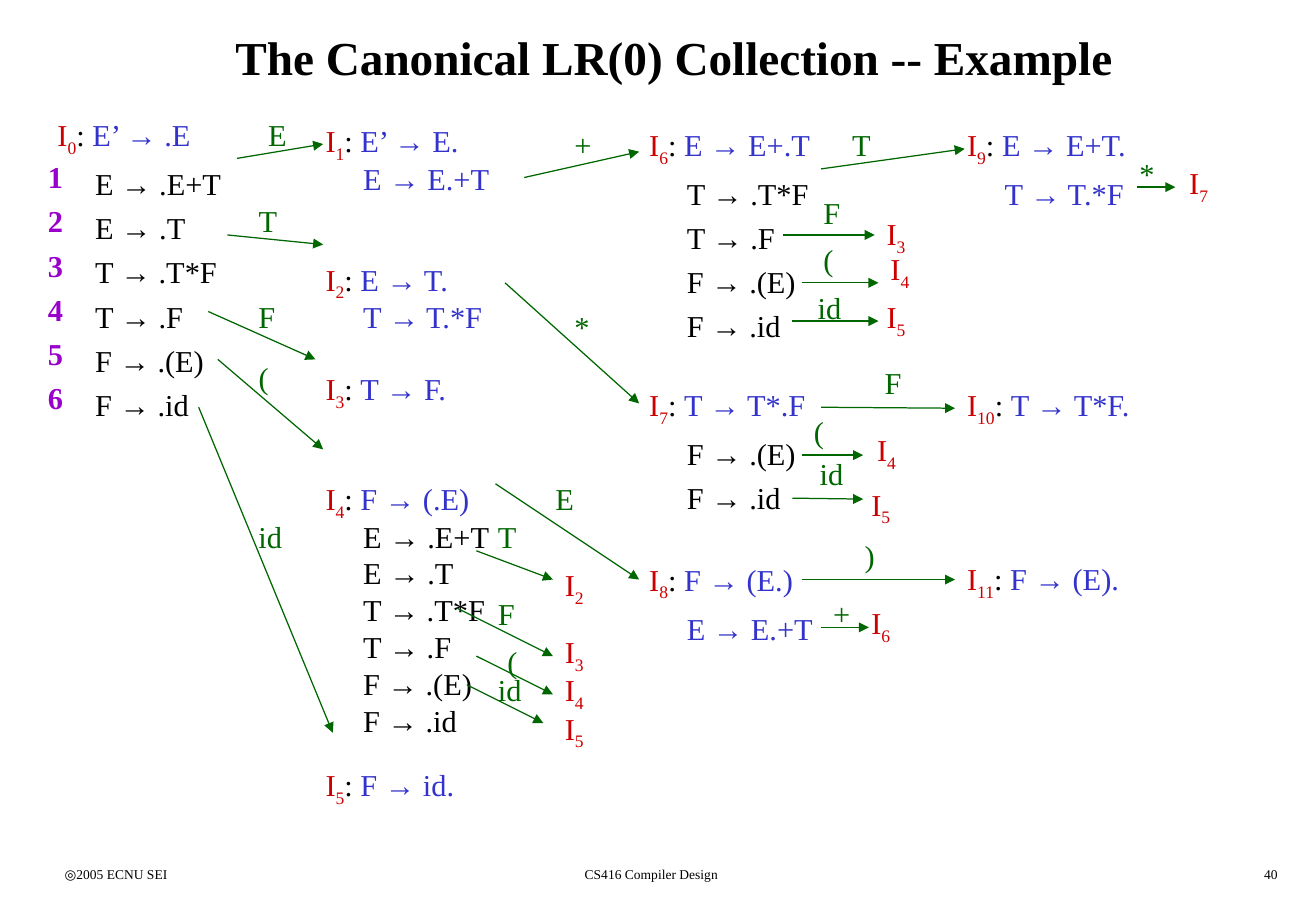
from typing import NamedTuple

from pptx import Presentation
from pptx.dml.color import RGBColor
from pptx.enum.shapes import MSO_CONNECTOR
from pptx.enum.text import MSO_ANCHOR, PP_ALIGN
from pptx.oxml.ns import qn
from pptx.util import Inches, Pt
from lxml.etree import SubElement

BLACK = RGBColor(0x00, 0x00, 0x00)
RED = RGBColor(0xCC, 0x00, 0x00)
BLUE = RGBColor(0x33, 0x33, 0xCC)
GREEN = RGBColor(0x00, 0x66, 0x00)
PURPLE = RGBColor(0x99, 0x00, 0xCC)

SLIDE_W, SLIDE_H = Inches(10.83), Inches(7.5)
CELL = Inches(0.0788)
LINE_GAP = Pt(4.5)
ITEM_INDENT = Inches(0.31)
BODY = {"name": "Times New Roman", "size": Pt(18), "bold": False}
BOLD = BODY | {"bold": True}
TITLE = BOLD | {"size": Pt(28)}
FOOTER = BODY | {"size": Pt(8)}


class ItemSet(NamedTuple):
    number: int
    col: float
    row: float
    kernel: list[str]
    closure: list[str] = []
    spacing: float = 1.0


class Label(NamedTuple):
    text: str
    col: float
    row: float


class Target(NamedTuple):
    number: int
    col: float
    row: float


class Arrow(NamedTuple):
    col1: float
    row1: float
    col2: float
    row2: float


class Footer(NamedTuple):
    text: str
    left: float
    width: float
    align: PP_ALIGN


F_ITEMS = ["F → .(E)", "F → .id"]
T_ITEMS = ["T → .T*F", "T → .F"] + F_ITEMS
E_ITEMS = ["E → .E+T", "E → .T"] + T_ITEMS

ITEM_SETS = [
    ItemSet(0, 5, 11, ["E’ → .E"], E_ITEMS),
    ItemSet(1, 33, 12, ["E’ → E.", "E → E.+T"], spacing=0.8),
    ItemSet(2, 33, 26.5, ["E → T.", "T → T.*F"], spacing=0.8),
    ItemSet(3, 33, 37.9, ["T → F."], spacing=0.8),
    ItemSet(4, 33, 49.4, ["F → (.E)"], E_ITEMS, 0.8),
    ItemSet(5, 33, 79.3, ["F → id."], spacing=0.8),
    ItemSet(6, 66.8, 12, ["E → E+.T"], T_ITEMS),
    ItemSet(7, 66.8, 39.2, ["T → T*.F"], F_ITEMS),
    ItemSet(8, 66.8, 57.4, ["F → (E.)", "E → E.+T"]),
    ItemSet(9, 100, 12, ["E → E+T.", "T → T.*F"]),
    ItemSet(10, 100, 39.2, ["T → T*F."]),
    ItemSet(11, 100, 57.4, ["F → (E)."]),
]
LABELS = [
    Label("E", 27, 11), Label("T", 26, 20), Label("F", 26, 30),
    Label("(", 26, 36.4), Label("id", 26, 53),
    Label("+", 59, 12), Label("*", 59, 31), Label("E", 57, 49),
    Label("T", 51, 53), Label("F", 51, 61), Label("(", 52, 66), Label("id", 51, 69),
    Label("T", 88, 12), Label("F", 85, 19.1), Label("(", 85, 24), Label("id", 84.4, 29),
    Label("F", 91.4, 36.9), Label("(", 84, 42), Label("id", 84.6, 46.4),
    Label(")", 89.3, 55), Label("+", 86, 61), Label("*", 118, 15),
]
LABEL_WIDTHS = {"(": 0.28, ")": 0.28, "*": 0.33, "+": 0.34, "F": 0.34,
                "E": 0.35, "T": 0.35, "id": 0.4}
TARGETS = [
    Target(2, 58, 58), Target(3, 58, 65), Target(4, 58, 69), Target(5, 58, 73),
    Target(3, 91.6, 21.3), Target(4, 92, 25), Target(5, 91.6, 30),
    Target(4, 90.6, 43.9), Target(5, 90, 49.6), Target(6, 90, 62), Target(7, 123.2, 16),
]
ARROWS = [
    Arrow(25, 16, 34, 14.5), Arrow(24, 24, 34, 25), Arrow(22, 32, 33.2, 37),
    Arrow(23, 37, 34, 46.4), Arrow(21, 42, 35, 76),
    Arrow(55, 18, 67, 15.3), Arrow(53, 29, 67, 41.6), Arrow(52, 50, 67, 60),
    Arrow(50, 57, 58, 60), Arrow(48, 63, 58, 68), Arrow(50, 68, 58, 72), Arrow(49, 71, 57, 75),
    Arrow(86, 17.1, 101, 15), Arrow(82, 24, 91.6, 24), Arrow(84, 29, 92, 29),
    Arrow(83, 33, 92, 33), Arrow(86, 42, 100, 42.1), Arrow(84, 47, 90.4, 47),
    Arrow(83, 51.5, 90.4, 51.6), Arrow(84, 60, 100, 60), Arrow(86, 65, 91, 65),
    Arrow(119, 19, 123, 19),
]
FOOTERS = [
    Footer("◎2005 ECNU SEI", 0.04, 0.21, PP_ALIGN.LEFT),
    Footer("CS416 Compiler Design", 0.31, 0.37, PP_ALIGN.CENTER),
    Footer("40", 0.77, 0.21, PP_ALIGN.RIGHT),
]


def at(col: float, row: float) -> tuple[int, int]:
    return int((col - 0.25) * CELL), int((row + 0.55) * CELL)


def add_run(p, text: str, color: RGBColor, fmt: dict = BODY, baseline: int = 0) -> None:
    r = p.add_run()
    r.text = text
    for key, value in fmt.items():
        setattr(r.font, key, value)
    r.font.color.rgb = color
    if baseline:
        r.font._element.set("baseline", str(baseline))


def add_text_frame(slide, left: int, top: int, width: int, height: int, wrap: bool = True):
    tf = slide.shapes.add_textbox(left, top, width, height).text_frame
    tf.word_wrap = wrap
    return tf


def next_paragraph(tf, spacing: float = 1.0, indent: int = 0):
    p = tf.add_paragraph()
    p.space_before, p.line_spacing = LINE_GAP, spacing
    p._p.get_or_add_pPr().set("marL", str(indent))
    return p


def add_state_name(p, number: int) -> None:
    add_run(p, "I", RED)
    add_run(p, str(number), RED, baseline=-25000)


def draw_item_set(slide, state: ItemSet) -> None:
    items = [(t, BLUE) for t in state.kernel] + [(t, BLACK) for t in state.closure]
    height = Inches(0.15 + 0.35 * state.spacing * len(items))
    tf = add_text_frame(slide, *at(state.col, state.row), 22 * CELL, height)
    p = tf.paragraphs[0]
    p.line_spacing = state.spacing
    add_state_name(p, state.number)
    add_run(p, ": ", BLACK)
    add_run(p, *items[0])
    for text, color in items[1:]:
        add_run(next_paragraph(tf, state.spacing, ITEM_INDENT), text, color)


def draw_label(slide, label: Label) -> None:
    width = Inches(LABEL_WIDTHS[label.text])
    tf = add_text_frame(slide, *at(label.col, label.row), width, Inches(0.4), False)
    add_run(tf.paragraphs[0], label.text, GREEN)


def draw_target(slide, target: Target) -> None:
    tf = add_text_frame(slide, *at(target.col, target.row), Inches(0.37), Inches(0.4), False)
    add_state_name(tf.paragraphs[0], target.number)


def draw_arrow(slide, arrow: Arrow) -> None:
    start, end = at(arrow.col1, arrow.row1), at(arrow.col2, arrow.row2)
    c = slide.shapes.add_connector(MSO_CONNECTOR.STRAIGHT, *start, *end)
    c.line.color.rgb, c.line.width = GREEN, Pt(0.75)
    SubElement(c.line._get_or_add_ln(), qn("a:tailEnd"), type="triangle")
    SubElement(c._element.spPr, qn("a:effectLst"))


def draw_footer(slide, footer: Footer) -> None:
    tf = add_text_frame(slide, int(footer.left * SLIDE_W), int(0.944 * SLIDE_H),
                        int(footer.width * SLIDE_W), Inches(0.25))
    p = tf.paragraphs[0]
    p.alignment = footer.align
    add_run(p, footer.text, BLACK, FOOTER)


def main() -> None:
    prs = Presentation()
    prs.slide_width, prs.slide_height = SLIDE_W, SLIDE_H
    slide = prs.slides.add_slide(prs.slide_layouts[5])

    # Title
    sp = slide.shapes.title
    sp.left, sp.top, sp.width, sp.height = Inches(0.42), Inches(0.17), Inches(10.25), Inches(0.59)
    sp.text_frame.vertical_anchor = MSO_ANCHOR.MIDDLE
    p = sp.text_frame.paragraphs[0]
    p.alignment = PP_ALIGN.CENTER
    add_run(p, "The Canonical LR(0) Collection -- Example", BLACK, TITLE)

    # Production numbers beside the first item set
    tf = add_text_frame(slide, *at(4, 15.4), 6 * CELL, Inches(2.2))
    for number in range(1, 7):
        p = tf.paragraphs[0] if number == 1 else next_paragraph(tf)
        add_run(p, str(number), PURPLE, BOLD)

    # Item sets, transitions and footer
    for draw, parts in ((draw_item_set, ITEM_SETS), (draw_arrow, ARROWS),
                        (draw_label, LABELS), (draw_target, TARGETS), (draw_footer, FOOTERS)):
        for part in parts:
            draw(slide, part)

    prs.save("out.pptx")


if __name__ == "__main__":
    main()
